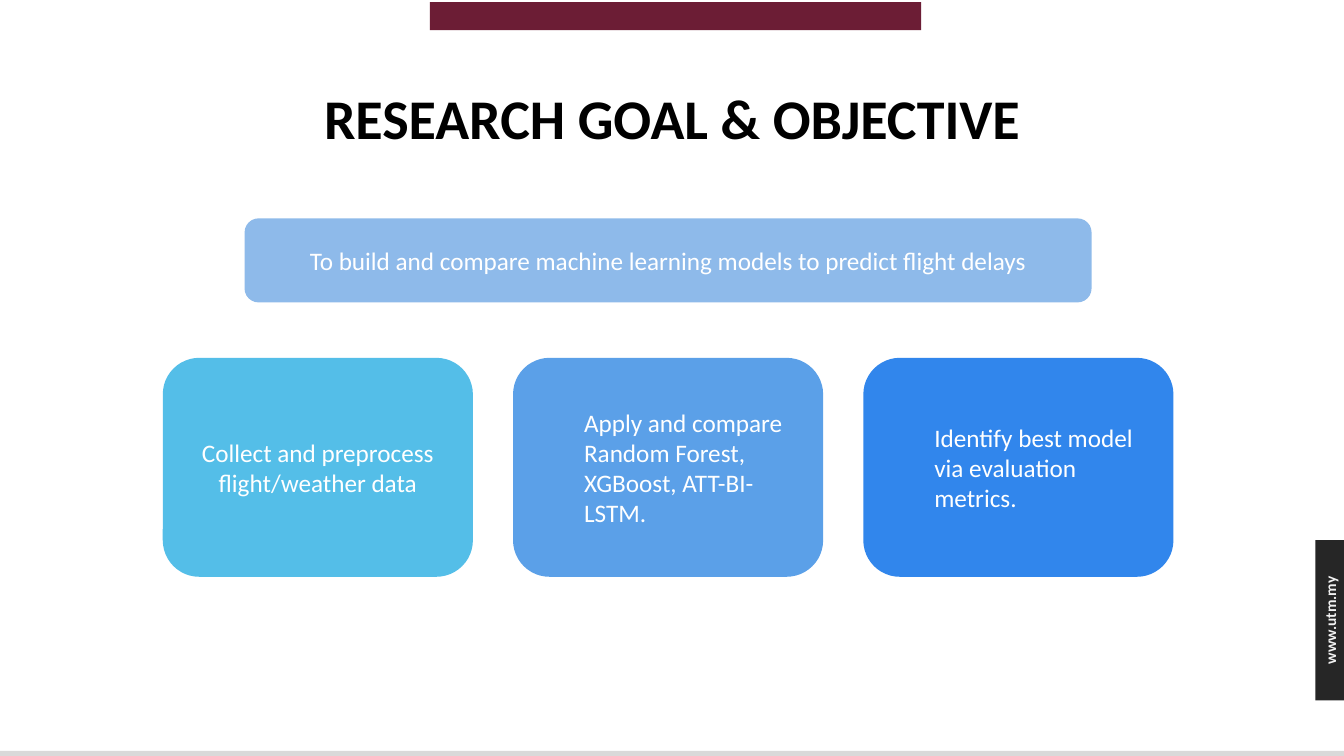
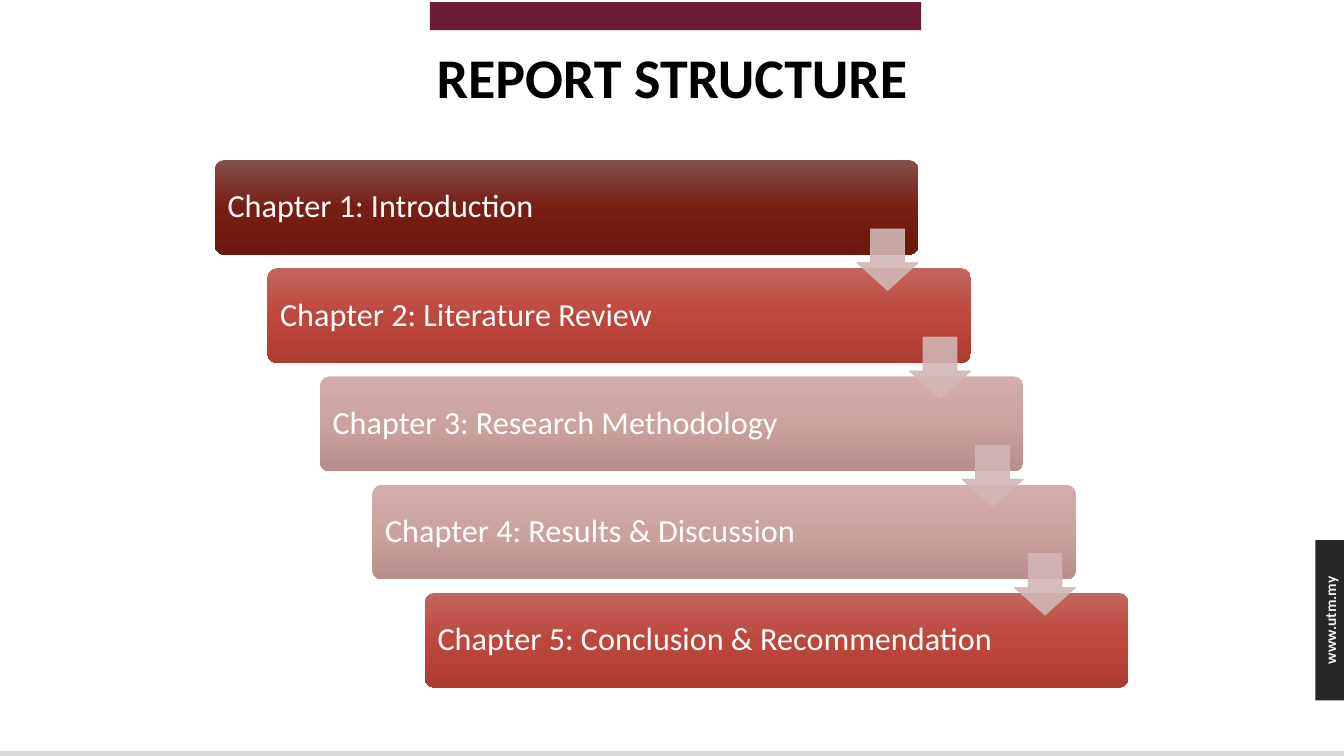
from copy import deepcopy

from lxml.etree import SubElement
from pptx import Presentation
from pptx.dml.color import RGBColor
from pptx.enum.shapes import MSO_SHAPE
from pptx.enum.text import MSO_ANCHOR, MSO_AUTO_SIZE, PP_ALIGN
from pptx.oxml.ns import qn
from pptx.util import Pt

FONT = "Calibri"
BLACK = RGBColor(0x00, 0x00, 0x00)
WHITE = RGBColor(0xFF, 0xFF, 0xFF)
MAROON = RGBColor(0x6C, 0x1D, 0x35)
GREY = RGBColor(0xD9, 0xD9, 0xD9)
CHARCOAL = RGBColor(0x26, 0x26, 0x26)
PALE = RGBColor(0xF2, 0xF2, 0xF2)
GOAL_BLUE = RGBColor(0x8E, 0xBA, 0xEA)
SKY = RGBColor(0x54, 0xBE, 0xE8)
MID_BLUE = RGBColor(0x5B, 0xA0, 0xE8)
STRONG_BLUE = RGBColor(0x31, 0x86, 0xEC)
ARROW_PINK = RGBColor(0xD0, 0xB6, 0xB5)
# Gradients, top to bottom
DARK_RED = [RGBColor.from_string(c) for c in ("844F4D", "771E12", "6E170C")]
RED = [RGBColor.from_string(c) for c in ("C2655E", "BE473C", "AE3B30")]
ROSE = [RGBColor.from_string(c) for c in ("D1AEAC", "CCA29F", "B88D8B")]

SITE = "www.utm.my"
BANDS = [  # left, top, width, height, colour
    (307, 1.5, 351, 20, MAROON),
    (0, 536.4, 964.8, 8.6, GREY),
    (939.5, 385.8, 21, 114.5, CHARCOAL),
]

GOAL = "To build and compare machine learning models to predict flight delays"
OBJECTIVES = [  # text, colour, left indent (None: centred)
    ("Collect and preprocess flight/weather data", SKY, None),
    ("Apply and compare Random Forest, XGBoost, ATT-BI-LSTM.", MID_BLUE, 36),
    ("Identify best model via evaluation metrics.", STRONG_BLUE, 36),
]
CARD_LEFT, CARD_TOP, CARD_W, CARD_H, CARD_PITCH = 116.3, 255.6, 221.5, 156.4, 250.2

CHAPTERS = [
    ("Chapter 1: Introduction", DARK_RED),
    ("Chapter 2: Literature Review", RED),
    ("Chapter 3: Research Methodology", ROSE),
    ("Chapter 4: Results & Discussion", ROSE),
    ("Chapter 5: Conclusion & Recommendation", RED),
]
BAR_LEFT, BAR_TOP, BAR_W, BAR_H = 153.5, 114.3, 502.5, 67.7
STEP_X, STEP_Y = 37.5, 77.3
ARROW, ARROW_DROP = 44, 49.2


def add_box(s, kind, left, top, width, height, color=None):
    sp = s.shapes.add_shape(kind, Pt(left), Pt(top), Pt(width), Pt(height))
    sp.shadow.inherit = False
    sp.line.fill.background()
    if color is not None:
        sp.fill.solid()
        sp.fill.fore_color.rgb = color
    return sp


def set_text(sp, text, size, color=WHITE, bold=False, align=PP_ALIGN.CENTER,
             indent=None, spacing=None):
    tf = sp.text_frame
    tf.word_wrap = True
    tf.auto_size = MSO_AUTO_SIZE.NONE
    tf.vertical_anchor = MSO_ANCHOR.MIDDLE
    tf.text = text
    p = tf.paragraphs[0]
    if indent is not None:
        p._p.get_or_add_pPr().set("marL", str(Pt(indent)))
    p.alignment = align
    p.line_spacing = spacing
    p.font.name, p.font.size, p.font.bold = FONT, Pt(size), bold
    p.font.color.rgb = color


def fill_gradient(sp, colors):
    sp.fill.gradient()
    sp.fill.gradient_angle = 270
    stops = sp._element.spPr.find(".//" + qn("a:gsLst"))
    stops.insert(1, deepcopy(stops[0]))
    for i, (stop, color) in enumerate(zip(sp.fill.gradient_stops, colors)):
        stop.position = i / (len(colors) - 1)
        stop.color.rgb = color


def set_opacity(sp, percent):
    """Apply to the fill and the outline alike."""
    for color in sp._element.spPr.iter(qn("a:srgbClr")):
        SubElement(color, qn("a:alpha")).set("val", str(percent * 1000))


def add_slide(prs, layout, title, top, height):
    s = prs.slides.add_slide(layout)
    sp = s.shapes.title
    sp.left, sp.top, sp.width, sp.height = Pt(66), Pt(top), Pt(828), Pt(height)
    set_text(sp, title, 40, BLACK, bold=True, spacing=0.9)
    return s


def furnish_layout(layout, s):
    """Draw the bands and site tab on slide s, then move them to its layout."""
    for ph in list(layout.placeholders):
        if ph.placeholder_format.idx >= 10:
            ph._element.getparent().remove(ph._element)
    parts = [add_box(s, MSO_SHAPE.RECTANGLE, *band) for band in BANDS]
    site = s.shapes.add_textbox(Pt(895.7), Pt(432.7), Pt(108.7), Pt(20.9))
    site.rotation = 270
    set_text(site, SITE, 11, PALE, bold=True)
    for sp in parts + [site]:
        layout.shapes._spTree.append(sp._element)


def draw_objectives(s):
    goal = add_box(s, MSO_SHAPE.ROUNDED_RECTANGLE, 174.7, 156, 605, 60, GOAL_BLUE)
    set_text(goal, GOAL, 18)
    for i, (text, color, indent) in enumerate(OBJECTIVES):
        card = add_box(s, MSO_SHAPE.ROUNDED_RECTANGLE, CARD_LEFT + i * CARD_PITCH,
                       CARD_TOP, CARD_W, CARD_H, color)
        align = PP_ALIGN.CENTER if indent is None else PP_ALIGN.LEFT
        set_text(card, text, 18, align=align, indent=indent)


def draw_chapters(s):
    corners = [(BAR_LEFT + i * STEP_X, BAR_TOP + i * STEP_Y)
               for i in range(len(CHAPTERS))]
    for (left, top), (text, colors) in zip(corners, CHAPTERS):
        bar = add_box(s, MSO_SHAPE.ROUNDED_RECTANGLE, left, top, BAR_W, BAR_H)
        bar.adjustments[0] = 0.1
        fill_gradient(bar, colors)
        set_text(bar, text, 23, align=PP_ALIGN.LEFT, spacing=0.9)
    for left, top in corners[:-1]:
        arrow = add_box(s, MSO_SHAPE.DOWN_ARROW, left + BAR_W - ARROW,
                        top + ARROW_DROP, ARROW, ARROW, ARROW_PINK)
        arrow.adjustments[0], arrow.adjustments[1] = 0.55, 0.45
        arrow.line.color.rgb = ARROW_PINK
        arrow.line.width = Pt(0.5)
        set_opacity(arrow, 90)


def main():
    prs = Presentation()
    prs.slide_width, prs.slide_height = Pt(960), Pt(540)
    layout = prs.slide_layouts.get_by_name("Title Only")

    s = add_slide(prs, layout, "RESEARCH GOAL & OBJECTIVE", 49, 75.6)
    furnish_layout(layout, s)
    draw_objectives(s)

    s = add_slide(prs, layout, "REPORT STRUCTURE", 28.8, 57.6)
    draw_chapters(s)

    prs.save("out.pptx")


if __name__ == "__main__":
    main()
